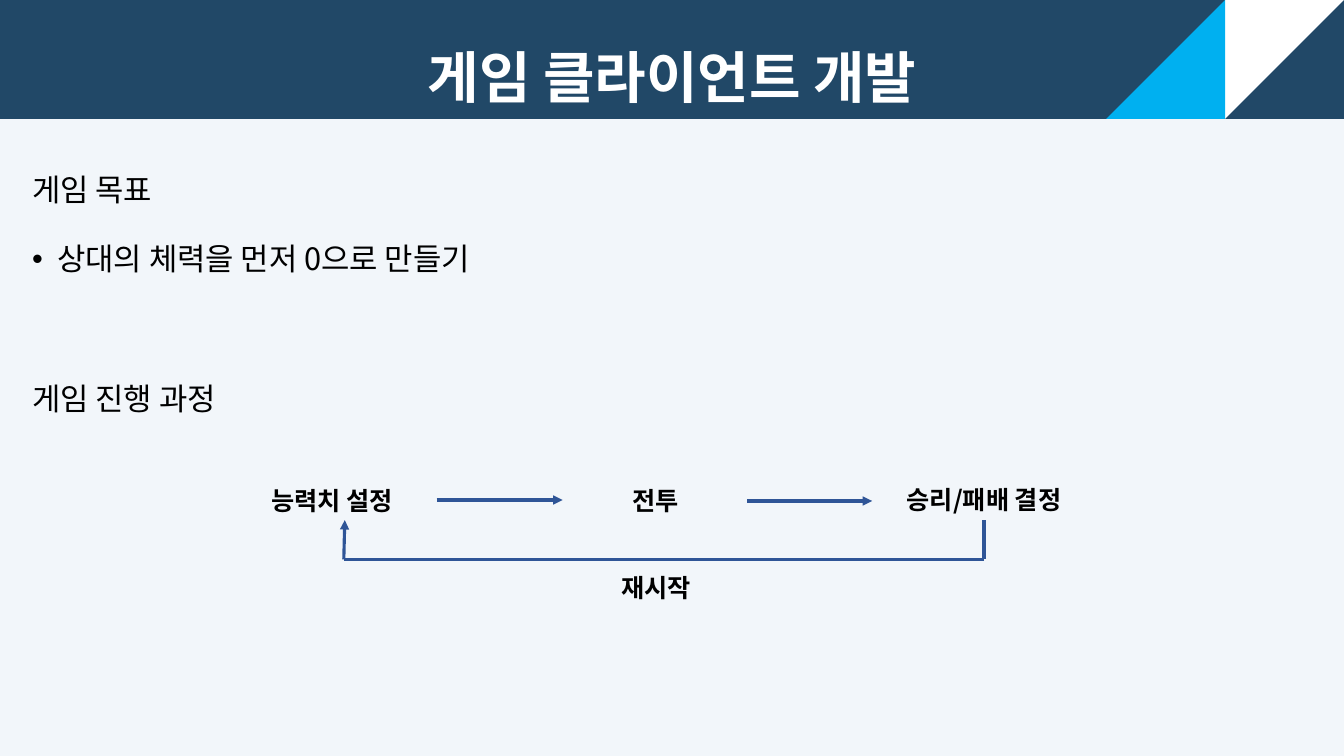
from dataclasses import dataclass

from lxml import etree
from pptx import Presentation
from pptx.dml.color import RGBColor
from pptx.enum.shapes import MSO_CONNECTOR, MSO_SHAPE
from pptx.enum.text import MSO_ANCHOR, PP_ALIGN
from pptx.oxml.ns import qn
from pptx.util import Inches, Pt

RECTANGLE = MSO_SHAPE.RECTANGLE
TRIANGLE = MSO_SHAPE.RIGHT_TRIANGLE
STRAIGHT = MSO_CONNECTOR.STRAIGHT
LEFT, CENTER = PP_ALIGN.LEFT, PP_ALIGN.CENTER
TOP, MIDDLE = MSO_ANCHOR.TOP, MSO_ANCHOR.MIDDLE

WIDTH, HEIGHT = 13.33, 7.5
BAND = 1.18          # header height and triangle side
STEP_TOP = 4.77      # row of process steps
LABEL_WIDTH, LABEL_HEIGHT = 1.65, 0.4
ARROW_Y = 4.96
LOOP_TOP, LOOP_BOTTOM = 5.16, 5.55
LOOP_LEFT, LOOP_RIGHT = 3.41, 9.76


@dataclass(frozen=True)
class Theme:
    font: str = "Noto Sans CJK KR"
    page: str = "F2F6FA"
    band: str = "214867"
    accent: str = "00B0F0"
    white: str = "FFFFFF"
    text: str = "000000"
    line: str = "2F5597"
    title_size: int = 40
    body_size: int = 22
    label_size: int = 18
    line_width: float = 2.25


THEME = Theme()


def color(value):
    return RGBColor.from_string(value)


def add_run(para, text, size, ink=THEME.text, bold=False):
    span = para.add_run()
    span.text = text
    font = span.font
    font.name, font.size, font.bold = THEME.font, Pt(size), bold
    font.color.rgb = color(ink)
    east_asian = etree.SubElement(span._r.get_or_add_rPr(), qn("a:ea"))
    east_asian.set("typeface", THEME.font)


def add_block(page, kind, left, fill, width=BAND, rotation=0):
    block = page.shapes.add_shape(kind, Inches(left), 0, Inches(width), Inches(BAND))
    block.shadow.inherit = False
    block.fill.solid()
    block.fill.fore_color.rgb = color(fill)
    block.line.fill.background()
    block.rotation = rotation
    return block


def add_text_box(page, left, top, width, height):
    box = page.shapes.add_textbox(Inches(left), Inches(top), Inches(width), Inches(height))
    box.text_frame.word_wrap = True
    box.text_frame.vertical_anchor = TOP
    return box.text_frame


def add_header(page, title):
    band = add_block(page, RECTANGLE, 0, THEME.band, width=WIDTH)
    band.text_frame.vertical_anchor = MIDDLE
    para = band.text_frame.paragraphs[0]
    para.alignment, para.line_spacing = CENTER, 1.5
    add_run(para, title, THEME.title_size, THEME.white, bold=True)
    add_block(page, TRIANGLE, WIDTH - BAND, THEME.white, rotation=90)
    add_block(page, TRIANGLE, WIDTH - 2 * BAND, THEME.accent, rotation=270)


def add_bullet(para):
    properties = para._p.get_or_add_pPr()
    properties.set("marL", str(Inches(0.25)))
    properties.set("indent", str(-Inches(0.25)))
    font = etree.SubElement(properties, qn("a:buFont"))
    font.set("typeface", "Arial")
    etree.SubElement(properties, qn("a:buChar")).set("char", "•")


def add_body(page, lines):
    frame = add_text_box(page, 0.22, 1.46, 12.85, 5.82)
    for index, (text, space_before, bulleted) in enumerate(lines):
        para = frame.paragraphs[0] if index == 0 else frame.add_paragraph()
        para.alignment, para.line_spacing = LEFT, 1.5
        para.space_before = Pt(space_before)
        if bulleted:
            add_bullet(para)
        add_run(para, text, THEME.body_size)


def add_label(page, text, left, top=STEP_TOP, width=LABEL_WIDTH, align=CENTER):
    para = add_text_box(page, left, top, width, LABEL_HEIGHT).paragraphs[0]
    para.alignment = align
    add_run(para, text, THEME.label_size, bold=True)


def add_line(page, start, end, arrow=False):
    line = page.shapes.add_connector(STRAIGHT, *map(Inches, start + end))
    line.line.color.rgb = color(THEME.line)
    line.line.width = Pt(THEME.line_width)
    if arrow:
        etree.SubElement(line.line._get_or_add_ln(), qn("a:tailEnd")).set("type", "triangle")
    etree.SubElement(line._element.spPr, qn("a:effectLst"))


def add_process(page):
    # Steps
    add_label(page, "능력치 설정", 2.59, align=LEFT)
    add_label(page, "전투", 5.68)
    add_label(page, "승리/패배 결정", 8.77, top=4.76, width=1.98)
    add_label(page, "재시작", 5.68, top=5.63)
    # Forward arrows
    add_line(page, (4.33, ARROW_Y), (5.58, ARROW_Y), arrow=True)
    add_line(page, (7.41, ARROW_Y + 0.01), (8.65, ARROW_Y + 0.01), arrow=True)
    # Restart loop
    add_line(page, (LOOP_RIGHT, LOOP_TOP), (LOOP_RIGHT, LOOP_BOTTOM))
    add_line(page, (LOOP_RIGHT, LOOP_BOTTOM), (LOOP_LEFT, LOOP_BOTTOM))
    add_line(page, (LOOP_LEFT, LOOP_BOTTOM), (LOOP_LEFT + 0.01, LOOP_TOP), arrow=True)


def main():
    deck = Presentation()
    deck.slide_width, deck.slide_height = Inches(WIDTH), Inches(HEIGHT)
    page = deck.slides.add_slide(deck.slide_layouts[6])
    page.background.fill.solid()
    page.background.fill.fore_color.rgb = color(THEME.page)

    add_header(page, "게임 클라이언트 개발")
    # Each line: text, space before in points, bulleted
    add_body(page, [
        ("게임 목표", 10, False),
        ("상대의 체력을 먼저 0으로 만들기", 10, True),
        ("게임 진행 과정", 60, False),
    ])
    add_process(page)
    deck.save("out.pptx")


if __name__ == "__main__":
    main()
